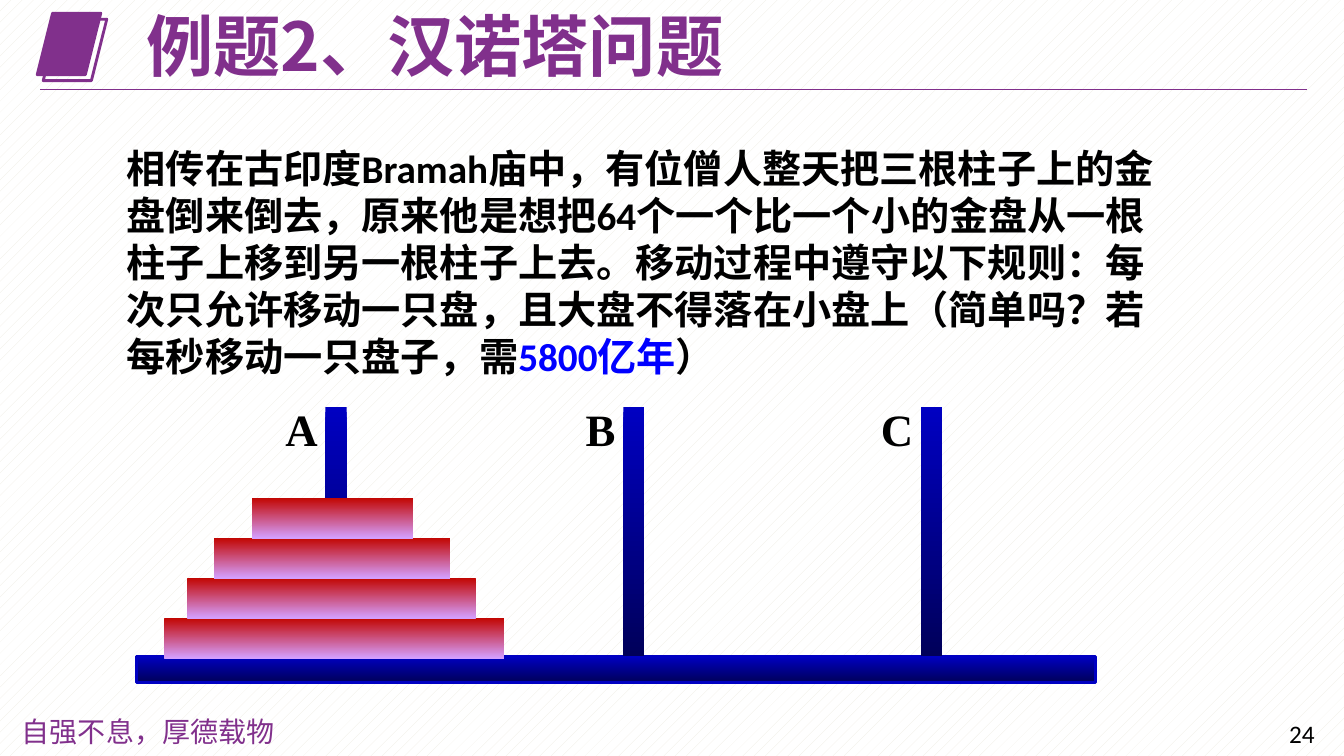
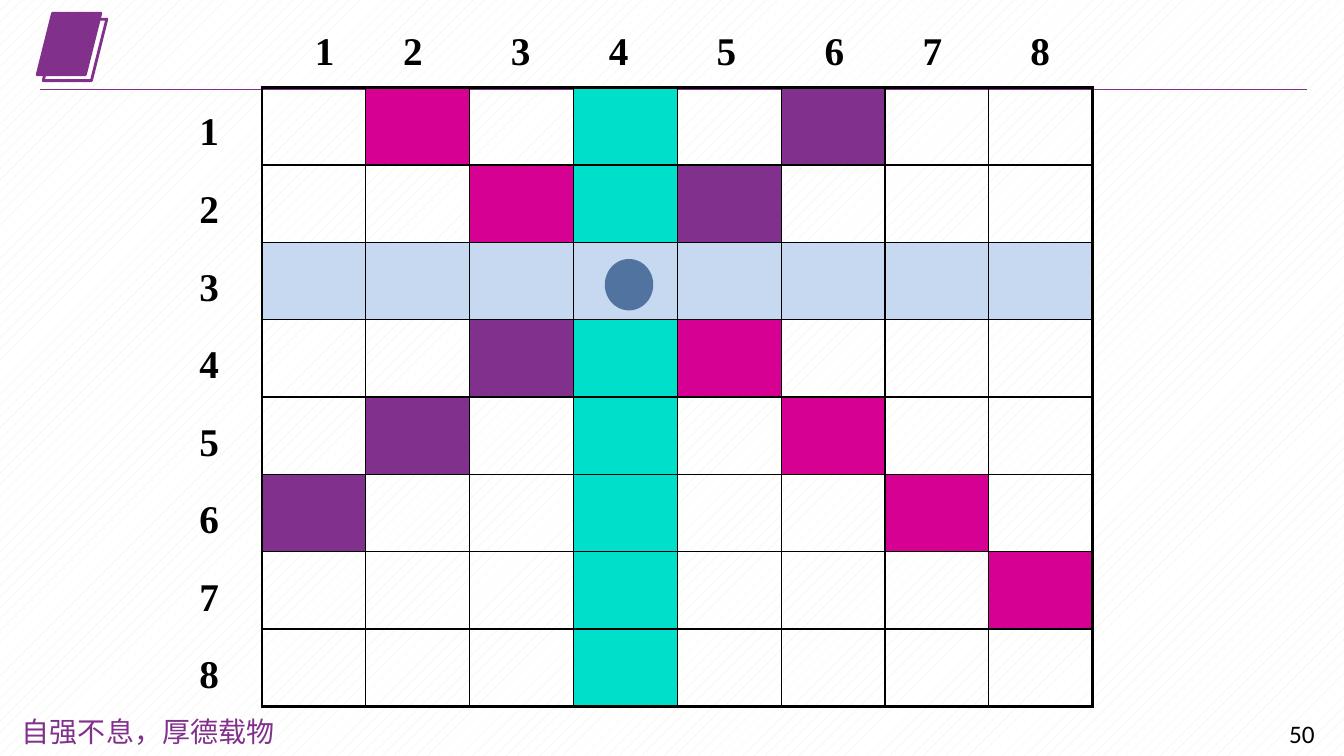
from lxml import etree
from pptx import Presentation
from pptx.dml.color import RGBColor
from pptx.enum import dml, shapes as sh, text as tx
from pptx.oxml import ns
from pptx.util import Pt

COLOURS = {
    "purple": "81308C", "black": "000000", "blue": "0000FF", "white": "FFFFFF",
    "paper": "EEECE1", "post_top": "0000C2", "post_foot": "00005A",
    "disc_top": "C20500", "disc_foot": "D49FFF", "row": "C6D9F1",
    "column": "00DFCA", "falling": "D60093", "rising": "82308E", "queen": "1F497D",
}
CJK = "Noto Sans CJK SC"
LEFT, RIGHT = tx.PP_ALIGN.LEFT, tx.PP_ALIGN.RIGHT

# Text styles: font and paragraph values, plus the East Asian font
STYLES = {
    "title": {"font": {"name": CJK, "size": Pt(48), "bold": True},
              "para": {"line_spacing": 0.9, "alignment": LEFT}, "ea": CJK},
    "story": {"font": {"name": "Calibri", "size": Pt(28), "bold": True},
              "para": {"line_spacing": Pt(33.6)}, "ea": CJK},
    "motto": {"font": {"name": "Noto Sans CJK JP", "size": Pt(20)},
              "para": {"line_spacing": Pt(24)}, "ea": "Noto Sans CJK JP"},
    "number": {"font": {"name": "Calibri", "size": Pt(18)}},
    "post": {"font": {"name": "Times New Roman", "size": Pt(32), "bold": True},
             "para": {"alignment": RIGHT}, "frame": {"word_wrap": False}},
    "index": {"font": {"name": "Times New Roman", "size": Pt(28), "bold": True}},
}


def rgb(name):
    return RGBColor.from_string(COLOURS[name])


def points(*values):
    return [Pt(value) for value in values]


def set_all(target, values):
    for key, value in values.items():
        setattr(target, key, value)


def sub(parent, tag, **attributes):
    return etree.SubElement(parent, ns.qn(tag), attributes)


def write(frame, runs, style_name):
    """Write (text, colour) runs as the only paragraph of a frame."""
    style = STYLES[style_name]
    set_all(frame, {"word_wrap": True, **style.get("frame", {})})
    para = frame.paragraphs[0]
    set_all(para, style.get("para", {}))
    for words, colour in runs:
        run = para.add_run()
        run.text = words
        set_all(run.font, style["font"])
        run.font.color.rgb = rgb(colour)
        if "ea" in style:
            sub(run.font._element, "a:ea", typeface=style["ea"])
    return para


def add_text(slide, box, words, style_name, colour="black"):
    frame = slide.shapes.add_textbox(*points(*box)).text_frame
    return write(frame, [(words, colour)], style_name)


def add_block(shapes, kind, box, fill=None, line=None, width=1):
    """Add a shape; fill is a colour, a (top, foot) gradient or None."""
    block = shapes.add_shape(kind, *points(*box))
    block.shadow.inherit = False
    if isinstance(fill, tuple):
        block.fill.gradient()
        block.fill.gradient_angle = 270
        for stop, colour in zip(block.fill.gradient_stops, fill):
            stop.color.rgb = rgb(colour)
    elif fill:
        block.fill.solid()
        block.fill.fore_color.rgb = rgb(fill)
    else:
        block.fill.background()
    if line:
        block.line.color.rgb = rgb(line)
        block.line.width = Pt(width)
    else:
        block.line.fill.background()
    return block


def add_base_slide(prs, layout, number):
    """Add a slide with the emblem, header rule, motto and number."""
    slide = prs.slides.add_slide(prs.slide_layouts[layout])
    emblem = slide.shapes.add_group_shape()
    for shift, fill in ((0, "purple"), (4.3, None)):
        add_block(emblem.shapes, sh.MSO_SHAPE.PARALLELOGRAM,
                  (26.6 + shift, 9.4 + shift, 45.4, 43.9), fill, "purple", 2)
    rule = slide.shapes.add_connector(sh.MSO_CONNECTOR.STRAIGHT,
                                      *points(28.8, 64, 933.8, 64))
    rule.line.color.rgb = rgb("purple")
    rule.line.width = Pt(0.75)
    sub(rule._element.spPr, "a:effectLst")
    add_text(slide, (8.6, 506.9, 200, 31.7), "自强不息，厚德载物", "motto", "purple")
    add_text(slide, (913.7, 509.8, 44, 28.8), number, "number")
    return slide


def add_hanoi(slide):
    """Draw the base, three labelled posts and the stacked discs."""
    rect = sh.MSO_SHAPE.RECTANGLE
    steel, copper = ("post_top", "post_foot"), ("disc_top", "disc_foot")
    add_block(slide.shapes, rect, (97.2, 468.7, 685.4, 18.7), steel, "post_top", 2.25)
    for i, label in enumerate("ABC"):
        left = 232.5 + 212.75 * i
        add_block(slide.shapes, rect, (left, 290.9, 15.1, 177.8), steel)
        add_text(slide, (left - 36.7, 283.7, 38.2, 46), label, "post")
    discs = [(117.4, 242.6), (133.9, 205.9), (152.6, 169.2), (180, 115.2)]
    for level, (left, width) in enumerate(discs):
        add_block(slide.shapes, rect, (left, 441.4 - 28.6 * level, width, 28.8), copper)


def cell_colour(row, col, queen):
    """Colour by the line of attack through the queen, if any."""
    queen_row, queen_col = queen
    if row == queen_row:
        return "row"
    if col == queen_col:
        return "column"
    if row - col == queen_row - queen_col:
        return "falling"
    if row + col == queen_row + queen_col:
        return "rising"
    return None


def format_cell(cell, row, col, last, colour):
    props = cell._tc.get_or_add_tcPr()
    edges = {"a:lnL": col == 0, "a:lnR": col == last,
             "a:lnT": row == 0, "a:lnB": row == last}
    for tag, outer in edges.items():
        line = sub(props, tag, w=str(Pt(2.25 if outer else 1)))
        sub(sub(line, "a:solidFill"), "a:srgbClr", val=COLOURS["black"])
    if colour:
        cell.fill.solid()
        cell.fill.fore_color.rgb = rgb(colour)
    else:
        cell.fill.background()


def add_board(slide, size, queen):
    board = slide.shapes.add_table(size, size, *points(187.2, 62.6, 593.3, 442.1)).table
    set_all(board, {"first_row": False, "horz_banding": False})
    for row in range(size):
        for col in range(size):
            format_cell(board.cell(row, col), row, col, size - 1,
                        cell_colour(row, col, queen))


def add_column_numbers(slide, centres):
    words = "".join(f"\t{n}" for n in range(1, len(centres) + 1))
    para = add_text(slide, (182.9, 15.1, 612, 41), words, "index")
    tabs = sub(para._p.get_or_add_pPr(), "a:tabLst")
    for centre in centres:
        sub(tabs, "a:tab", pos=str(Pt(centre)), algn="ctr")


def build_hanoi_slide(prs):
    slide = add_base_slide(prs, 5, "24")
    title = slide.shapes.title
    set_all(title, dict(zip(("left", "top", "width", "height"),
                            points(97.2, 7.9, 559.4, 54.7))))
    set_all(title.text_frame, {"vertical_anchor": tx.MSO_ANCHOR.MIDDLE,
                               "auto_size": tx.MSO_AUTO_SIZE.NONE})
    write(title.text_frame, [("例题2、汉诺塔问题", "purple")], "title")
    story = slide.shapes.add_textbox(*points(83.5, 99.4, 764.6, 175.7))
    write(story.text_frame, [
        ("相传在古印度Bramah庙中，有位僧人整天把三根柱子上的金盘倒来倒去，"
         "原来他是想把64个一个比一个小的金盘从一根柱子上移到另一根柱子上去。"
         "移动过程中遵守以下规则：每次只允许移动一只盘，且大盘不得落在小盘上"
         "（简单吗？若每秒移动一只盘子，需", "black"),
        ("5800亿年", "blue"),
        ("）", "black"),
    ], "story")
    add_hanoi(slide)


def build_queens_slide(prs):
    slide = add_base_slide(prs, 6, "50")
    add_column_numbers(slide, (42, 105, 182, 252, 329, 406, 476, 553))
    add_board(slide, 8, queen=(2, 3))
    for row in range(8):
        add_text(slide, (135.4, 72.7 + 55.4 * row, 28.8, 41), str(row + 1), "index")
    queen = add_block(slide.shapes, sh.MSO_SHAPE.OVAL, (432, 185, 34.6, 36.7), "queen")
    # Let the row show through the queen
    colour = queen._element.spPr.find(".//" + ns.qn("a:srgbClr"))
    sub(colour, "a:alpha", val="70000")


def main():
    prs = Presentation()
    set_all(prs, {"slide_width": Pt(960), "slide_height": Pt(540)})
    # Shared background
    paper = prs.slide_master.background.fill
    paper.patterned()
    paper.pattern = dml.MSO_PATTERN.PERCENT_10
    paper.fore_color.rgb = rgb("paper")
    paper.back_color.rgb = rgb("white")
    build_hanoi_slide(prs)
    build_queens_slide(prs)
    prs.save("out.pptx")


if __name__ == "__main__":
    main()
